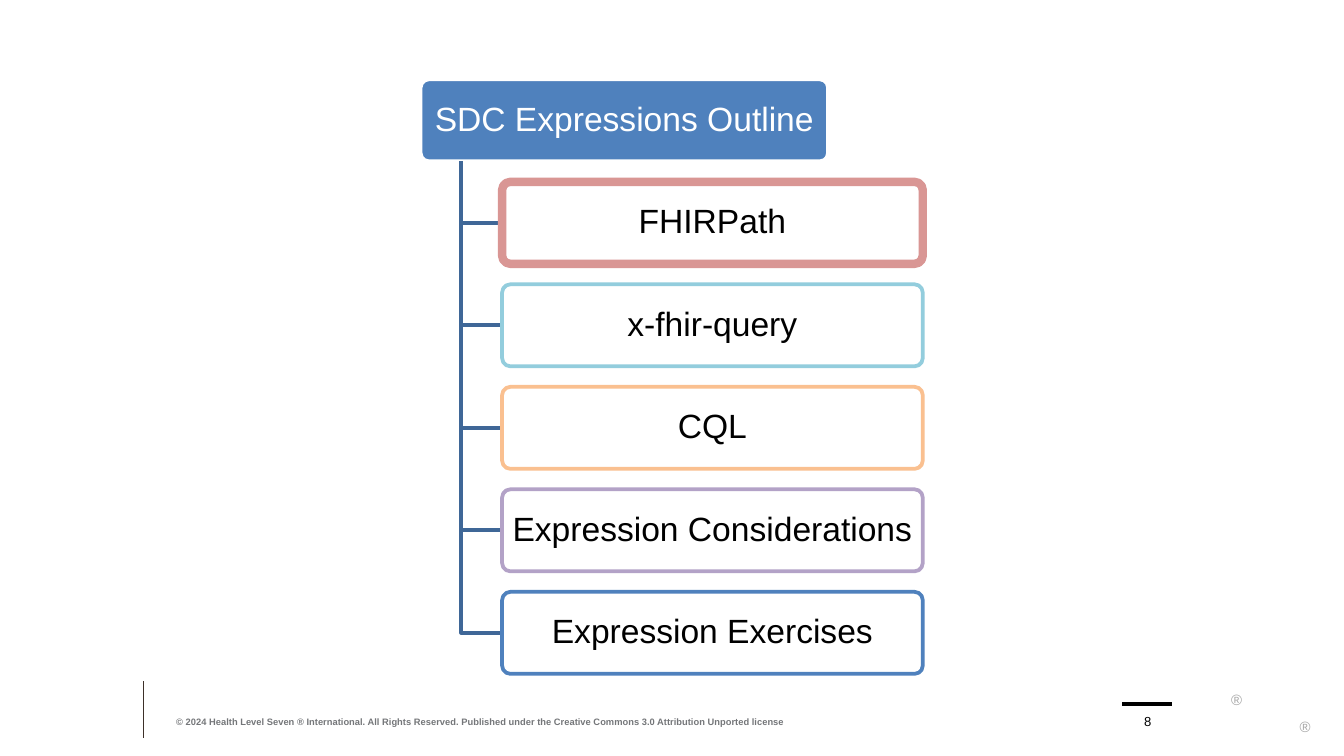
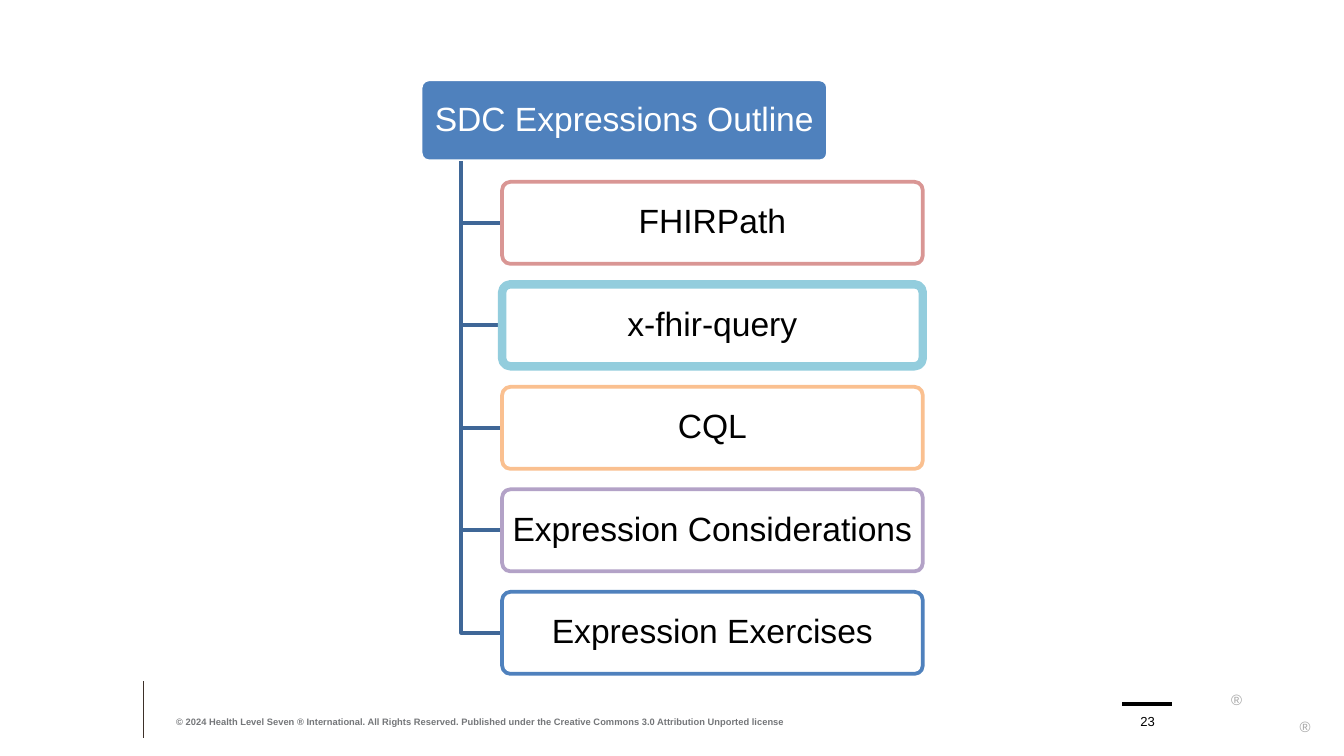
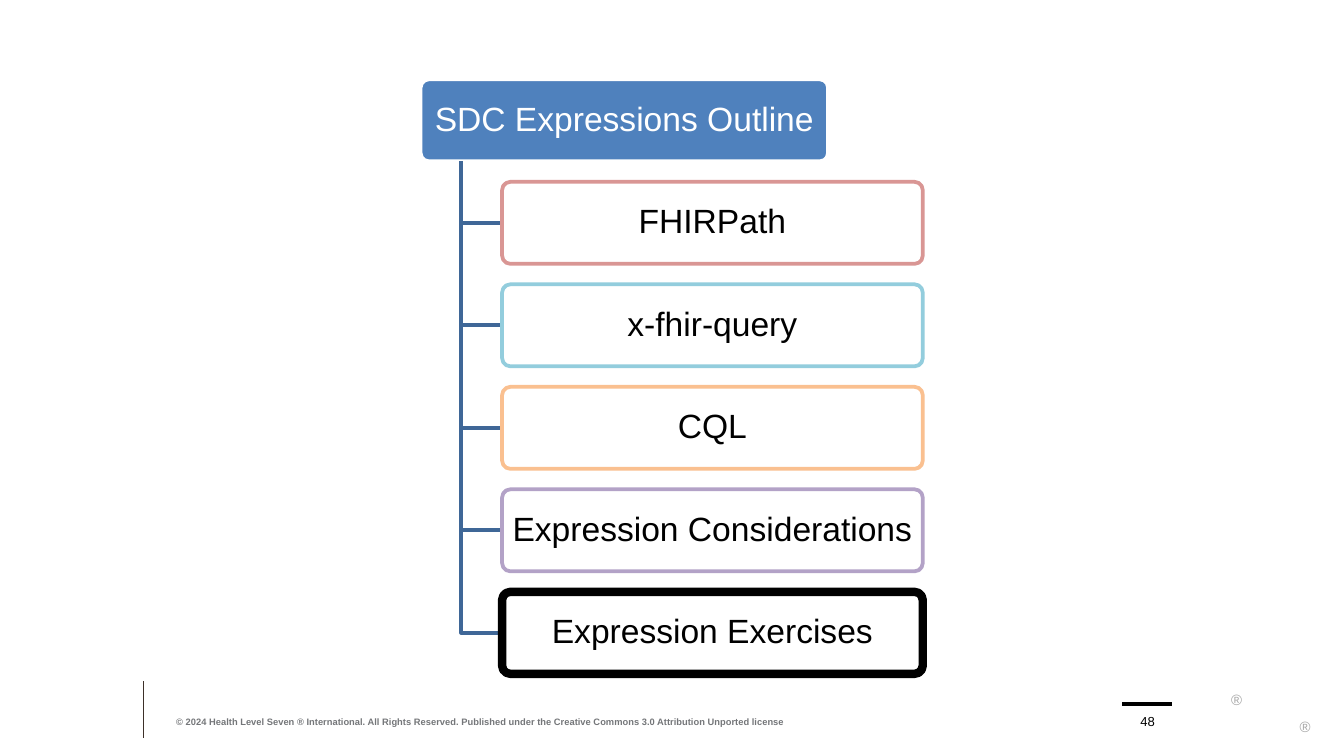
from lxml import etree
from pptx import Presentation
from pptx.dml.color import RGBColor
from pptx.enum.shapes import MSO_CONNECTOR, MSO_SHAPE
from pptx.enum.text import MSO_ANCHOR, MSO_AUTO_SIZE, PP_ALIGN
from pptx.oxml.ns import qn
from pptx.util import Cm, Pt

STRAIGHT = MSO_CONNECTOR.STRAIGHT
ROUNDED = MSO_SHAPE.ROUNDED_RECTANGLE
TOP, MIDDLE, BOTTOM = MSO_ANCHOR.TOP, MSO_ANCHOR.MIDDLE, MSO_ANCHOR.BOTTOM
LEFT, CENTER = PP_ALIGN.LEFT, PP_ALIGN.CENTER
GROW = MSO_AUTO_SIZE.SHAPE_TO_FIT_TEXT

WHITE = RGBColor(0xFF, 0xFF, 0xFF)
BLACK = RGBColor(0x00, 0x00, 0x00)
BLUE = RGBColor(0x4F, 0x81, 0xBD)
BRANCH = RGBColor(0x3F, 0x67, 0x97)
ROSE = RGBColor(0xD9, 0x96, 0x94)
AQUA = RGBColor(0x93, 0xCD, 0xDD)
ORANGE = RGBColor(0xFA, 0xC0, 0x90)
PURPLE = RGBColor(0xB3, 0xA2, 0xC7)
BROWN = RGBColor(0x3D, 0x30, 0x29)
GREY = RGBColor(0x74, 0x76, 0x79)
LIGHT_GREY = RGBColor(0xA6, 0xA6, 0xA6)

FONT = "Arial"
COPYRIGHT = (
    "© 2024 Health Level Seven ® International. All Rights Reserved. "
    "Published under the Creative Commons 3.0 Attribution Unported license"
)
TOPICS = [
    ("FHIRPath", ROSE),
    ("x-fhir-query", AQUA),
    ("CQL", ORANGE),
    ("Expression Considerations", PURPLE),
    ("Expression Exercises", BLUE),
]
SLIDES = [
    ("8", "FHIRPath", ROSE),
    ("23", "x-fhir-query", AQUA),
    ("48", "Expression Exercises", BLACK),
]
RULES = [
    (2.72, 12.88, 2.72, 13.95, BROWN, 0.5),
    (21.21, 13.31, 22.15, 13.31, BLACK, 2),
]
MARKS = [(23.27, 12.95), (24.56, 13.46)]

HEAD_X, HEAD_Y, HEAD_W = 7.95, 1.5, 7.7
BOX_X, BOX_W, BOX_H = 9.49, 7.95, 1.55
PITCH = BOX_H * 1.25
TRUNK_X = HEAD_X + HEAD_W / 10
TRUNK_Y = HEAD_Y + BOX_H


def set_text(sp, text, size=18, color=BLACK, bold=False, align=CENTER,
             anchor=MIDDLE, inset_x=0, inset_y=0, spacing=None, wrap=True):
    tf = sp.text_frame
    tf.word_wrap = wrap
    tf.vertical_anchor = anchor
    tf.margin_left = tf.margin_right = Cm(inset_x)
    tf.margin_top = tf.margin_bottom = Cm(inset_y)
    p = tf.paragraphs[0]
    p.alignment = align
    p.line_spacing = spacing
    r = p.add_run()
    r.text = text
    r.font.name = FONT
    r.font.size = Pt(size)
    r.font.bold = bold
    r.font.color.rgb = color


def add_box(shapes, text, x, y, w, fill, line, weight, color):
    sp = shapes.add_shape(ROUNDED, Cm(x), Cm(y), Cm(w), Cm(BOX_H))
    sp.adjustments[0] = 0.1
    sp.shadow.inherit = False
    sp.fill.solid()
    sp.fill.fore_color.rgb = fill
    sp.line.color.rgb = line
    sp.line.width = Pt(weight)
    set_text(sp, text, color=color, inset_x=0.15, inset_y=0.12, spacing=0.9)
    return sp


prs = Presentation()
prs.slide_width, prs.slide_height = Cm(25.4), Cm(14.29)

for number, current, highlight in SLIDES:
    s = prs.slides.add_slide(prs.slide_layouts[6])
    shapes = s.shapes

    for x1, y1, x2, y2, color, weight in RULES:
        rule = shapes.add_connector(STRAIGHT, Cm(x1), Cm(y1), Cm(x2), Cm(y2))
        rule.line.color.rgb = color
        rule.line.width = Pt(weight)
        etree.SubElement(rule._element.spPr, qn("a:effectLst"))

    for x, y in MARKS:
        sp = shapes.add_textbox(Cm(x), Cm(y), Cm(0.28), Cm(0.23))
        set_text(sp, "®", size=8, color=LIGHT_GREY, align=LEFT, anchor=TOP,
                 inset_y=0.13, wrap=False)
        sp.text_frame.auto_size = GROW

    sp = shapes.add_textbox(Cm(3.33), Cm(13.31), Cm(12.57), Cm(0.43))
    set_text(sp, COPYRIGHT, size=5, color=GREY, bold=True, align=LEFT, anchor=BOTTOM)
    sp = shapes.add_textbox(Cm(21.31), Cm(13.31), Cm(0.76), Cm(0.48))
    set_text(sp, number, size=7, anchor=BOTTOM)

    add_box(shapes, "SDC Expressions Outline", HEAD_X, HEAD_Y, HEAD_W,
            BLUE, WHITE, 2, WHITE)

    for i, (topic, color) in enumerate(TOPICS):
        y = HEAD_Y + (i + 1) * PITCH
        middle = y + BOX_H / 2
        fb = shapes.build_freeform(Cm(TRUNK_X), Cm(TRUNK_Y))
        fb.add_line_segments(
            [(Cm(TRUNK_X), Cm(middle)), (Cm(BOX_X), Cm(middle))], close=False)
        branch = fb.convert_to_shape()
        branch.shadow.inherit = False
        branch.fill.background()
        branch.line.color.rgb = BRANCH
        branch.line.width = Pt(2)

        line, weight = (highlight, 4.5) if topic == current else (color, 2)
        sp = add_box(shapes, topic, BOX_X, y, BOX_W, WHITE, line, weight, BLACK)
        white = sp._element.spPr.find(qn("a:solidFill"))[0]
        etree.SubElement(white, qn("a:alpha"), val="90000")

prs.save("out.pptx")
